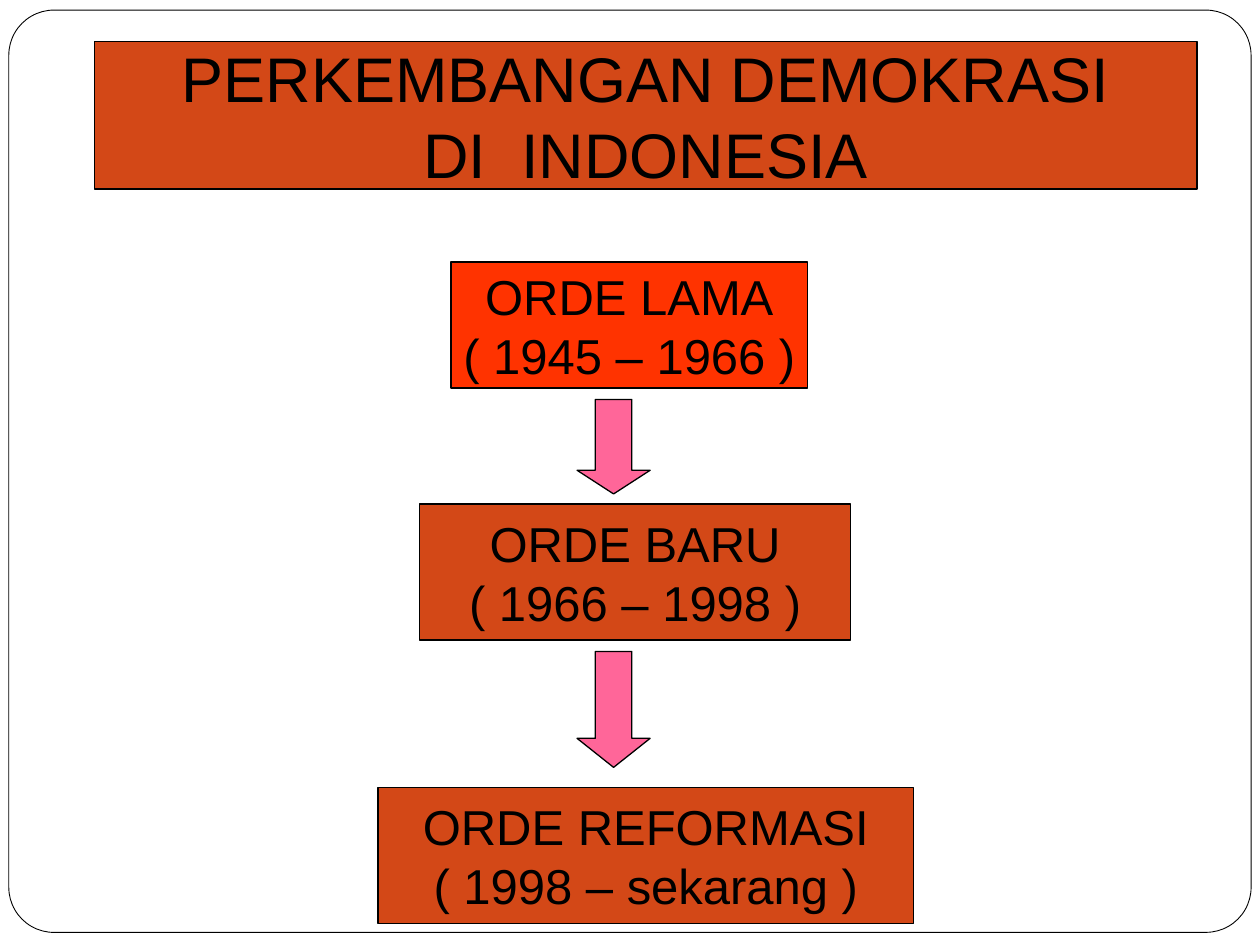
from pptx import Presentation
from pptx.dml.color import RGBColor
from pptx.enum.shapes import MSO_SHAPE as Shape
from pptx.enum.text import MSO_ANCHOR as Anchor, MSO_AUTO_SIZE as AutoSize, PP_ALIGN as Align
from pptx.util import Inches, Pt

BLACK, WHITE, RUST, RED, PINK = "000000", "FFFFFF", "D34817", "FF3300", "FF6699"
FRAME_BOX = (0.07, 0.08, 9.86, 7.32)
TITLE_BOX = (0.75, 0.33, 8.75, 1.17)
ERAS = [
    ("ORDE LAMA\n( 1945 – 1966 )", (3.58, 2.08, 2.83, 1), RED),
    ("ORDE BARU\n( 1966 – 1998 )", (3.33, 4, 3.42, 1.08), RUST),
    ("ORDE REFORMASI\n( 1998 – sekarang )", (3, 6.25, 4.25, 1.08), RUST),
]
ARROW_BOXES = [(4.58, 3.17, 0.58, 0.75), (4.58, 5.17, 0.58, 0.92)]
TEXT_FRAME_FORMAT = {
    "word_wrap": False,
    "auto_size": AutoSize.NONE,
    "vertical_anchor": Anchor.MIDDLE,
}


def apply_format(target, values):
    for name, value in values.items():
        setattr(target, name, value)


def paint(shape, fill, line_width=0.75):
    shape.fill.solid()
    shape.fill.fore_color.rgb = RGBColor.from_string(fill)
    shape.line.color.rgb = RGBColor.from_string(BLACK)
    shape.line.width = Pt(line_width)


def add_preset(slide, kind, box, fill, line_width=0.75):
    shape = slide.shapes.add_shape(kind, *map(Inches, box))
    shape.shadow.inherit = False
    paint(shape, fill, line_width)
    return shape


def write(shape, wording, size):
    frame = shape.text_frame
    frame.text = wording
    apply_format(frame, TEXT_FRAME_FORMAT)
    for paragraph in frame.paragraphs:
        paragraph.alignment = Align.CENTER
        apply_format(paragraph.font, {"name": "Arial", "size": Pt(size)})
        paragraph.font.color.rgb = RGBColor.from_string(BLACK)


def place_title(slide, box):
    title = slide.shapes.title
    apply_format(title, dict(zip(("left", "top", "width", "height"), map(Inches, box))))
    paint(title, RUST)
    write(title, "PERKEMBANGAN DEMOKRASI\nDI  INDONESIA", 36)


def add_frame(slide, box):
    frame = add_preset(slide, Shape.ROUNDED_RECTANGLE, box, WHITE, 0.5)
    frame.adjustments[0] = 0.049
    slide.shapes.title._element.addprevious(frame._element)


def add_era(slide, wording, box, fill):
    write(add_preset(slide, Shape.RECTANGLE, box, fill), wording, 28)


def add_arrow(slide, box):
    arrow = add_preset(slide, Shape.DOWN_ARROW, box, PINK)
    width, height = box[2:]
    arrow.adjustments[1] = height / 4 / width


def main():
    prs = Presentation()
    apply_format(prs, {"slide_width": Inches(10), "slide_height": Inches(7.5)})
    slide = prs.slides.add_slide(prs.slide_layouts.get_by_name("Title Only"))
    add_frame(slide, FRAME_BOX)
    place_title(slide, TITLE_BOX)
    for era in ERAS:
        add_era(slide, *era)
    for box in ARROW_BOXES:
        add_arrow(slide, box)
    prs.save("out.pptx")


if __name__ == "__main__":
    main()
